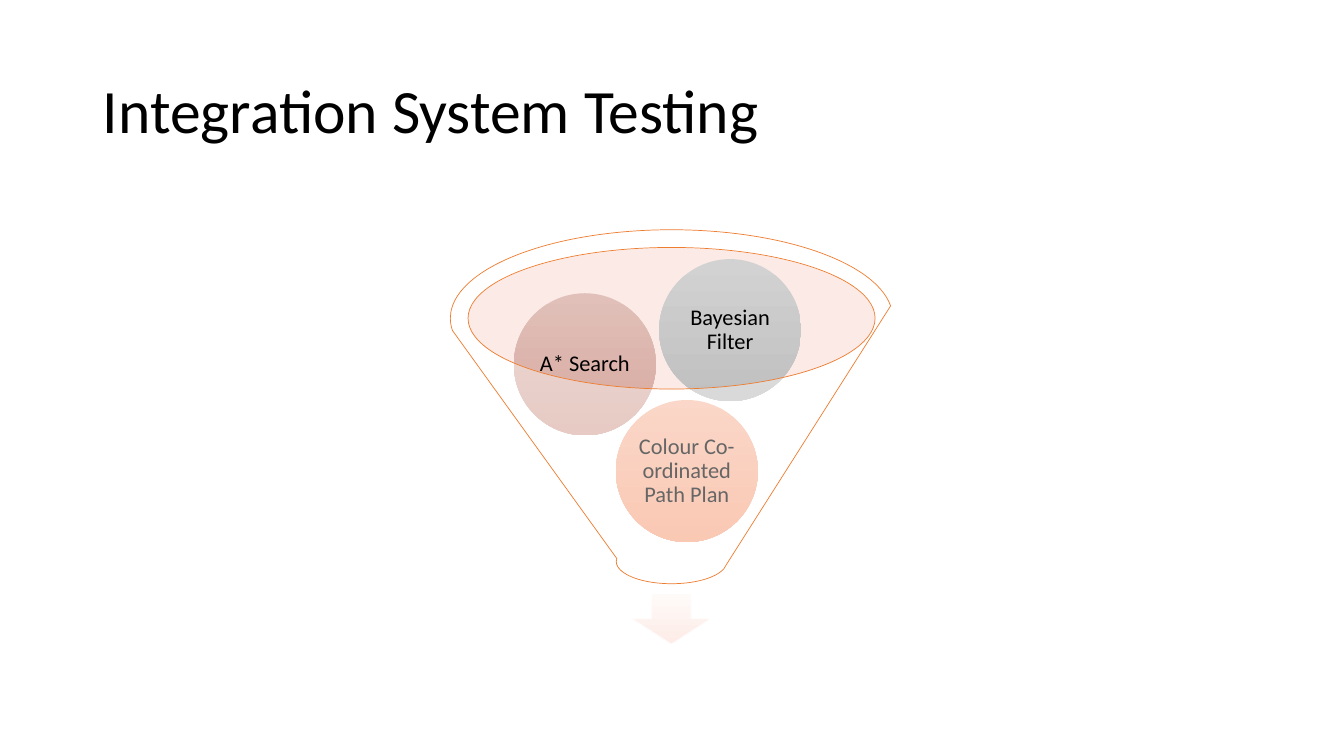
from lxml import etree
from pptx import Presentation
from pptx.dml.color import RGBColor
from pptx.enum.shapes import MSO_SHAPE
from pptx.enum.text import MSO_ANCHOR, MSO_AUTO_SIZE, PP_ALIGN
from pptx.oxml.ns import qn
from pptx.util import Cm, Pt

OVAL, FUNNEL = MSO_SHAPE.OVAL, MSO_SHAPE.FUNNEL
DOWN_ARROW, RECTANGLE = MSO_SHAPE.DOWN_ARROW, MSO_SHAPE.RECTANGLE
MIDDLE, LEFT, CENTER = MSO_ANCHOR.MIDDLE, PP_ALIGN.LEFT, PP_ALIGN.CENTER
NO_AUTOFIT = MSO_AUTO_SIZE.NONE
TITLE_ONLY = 5

FONT = "Calibri"
COLORS = {
    "white": "FFFFFF",
    "text": "000000",
    "outline": "ED7D31",
    "mouth": "F6CCBE",
    "arrow": ("FEFAF8", "FDECE7"),
    "path": ("F7BDA5", "F8A582"),
    "search": ("E0C0B9", "D7A89E"),
    "filter": ("D2D2D2", "C0C0C0"),
}
DIAMETER = 3.58
INSET = Cm(0.05)
CIRCLES = [
    ("Colour Co-ordinated Path Plan", "path", 15.52, 10.08),
    ("A* Search", "search", 12.95, 7.39),
    ("Bayesian Filter", "filter", 16.61, 6.53),
]


def rgb(name):
    return RGBColor.from_string(COLORS[name])


def add_shape(shapes, kind, left, top, width, height, line=None):
    shape = shapes.add_shape(kind, Cm(left), Cm(top), Cm(width), Cm(height))
    shape.shadow.inherit = False
    if line:
        shape.line.color.rgb = rgb(line)
        shape.line.width = Pt(0.5)
    else:
        shape.line.fill.background()
    return shape


def fill_solid(shape, color, opacity=100):
    shape.fill.solid()
    shape.fill.fore_color.rgb = rgb(color)
    if opacity < 100:
        element = shape.fill._xPr.find(qn("a:solidFill"))[0]
        etree.SubElement(element, qn("a:alpha")).set("val", str(opacity * 1000))


def fill_downward(shape, color):
    """Fill with a gradient that runs from top to bottom."""
    shape.fill.gradient()
    shape.fill.gradient_angle = 270
    for stop, value in zip(shape.fill.gradient_stops, COLORS[color]):
        stop.color.rgb = RGBColor.from_string(value)


def set_text(shape, text, size, alignment):
    frame = shape.text_frame
    frame.text = text
    frame.word_wrap = True
    frame.auto_size = NO_AUTOFIT
    frame.vertical_anchor = MIDDLE
    paragraph = frame.paragraphs[0]
    paragraph.alignment = alignment
    paragraph.line_spacing = 0.9
    font = paragraph.runs[0].font
    font.name = FONT
    font.size = Pt(size)
    font.color.rgb = rgb("text")


def add_circle(shapes, text, color, left, top):
    circle = add_shape(shapes, OVAL, left, top, DIAMETER, DIAMETER)
    fill_downward(circle, color)
    set_text(circle, text, 16, CENTER)
    frame = circle.text_frame
    frame.margin_left = frame.margin_right = INSET
    frame.margin_top = frame.margin_bottom = INSET


def add_title(slide, text):
    title = slide.shapes.title
    title.left, title.top = Cm(2.34), Cm(1.02)
    title.width, title.height = Cm(29.21), Cm(3.68)
    set_text(title, text, 44, LEFT)
    band = add_shape(slide.shapes, RECTANGLE, 0, -0.03, 33.87, 5.16)
    fill_solid(band, "white")
    title._element.addprevious(band._element)


def add_funnel_diagram(slide):
    shapes = slide.shapes.add_group_shape().shapes
    mouth = add_shape(shapes, OVAL, 11.79, 6.25, 10.26, 3.56)
    fill_solid(mouth, "mouth", 40)
    arrow = add_shape(shapes, DOWN_ARROW, 15.93, 14.96, 1.98, 1.27, "white")
    fill_downward(arrow, "arrow")
    for circle in CIRCLES:
        add_circle(shapes, *circle)
    funnel = add_shape(shapes, FUNNEL, 11.35, 5.79, 11.15, 8.92, "outline")
    fill_solid(funnel, "white", 40)


def main():
    presentation = Presentation()
    presentation.slide_width = Cm(33.87)
    presentation.slide_height = Cm(19.05)
    slide = presentation.slides.add_slide(presentation.slide_layouts[TITLE_ONLY])
    add_title(slide, "Integration System Testing")
    add_funnel_diagram(slide)
    presentation.save("out.pptx")


if __name__ == "__main__":
    main()
